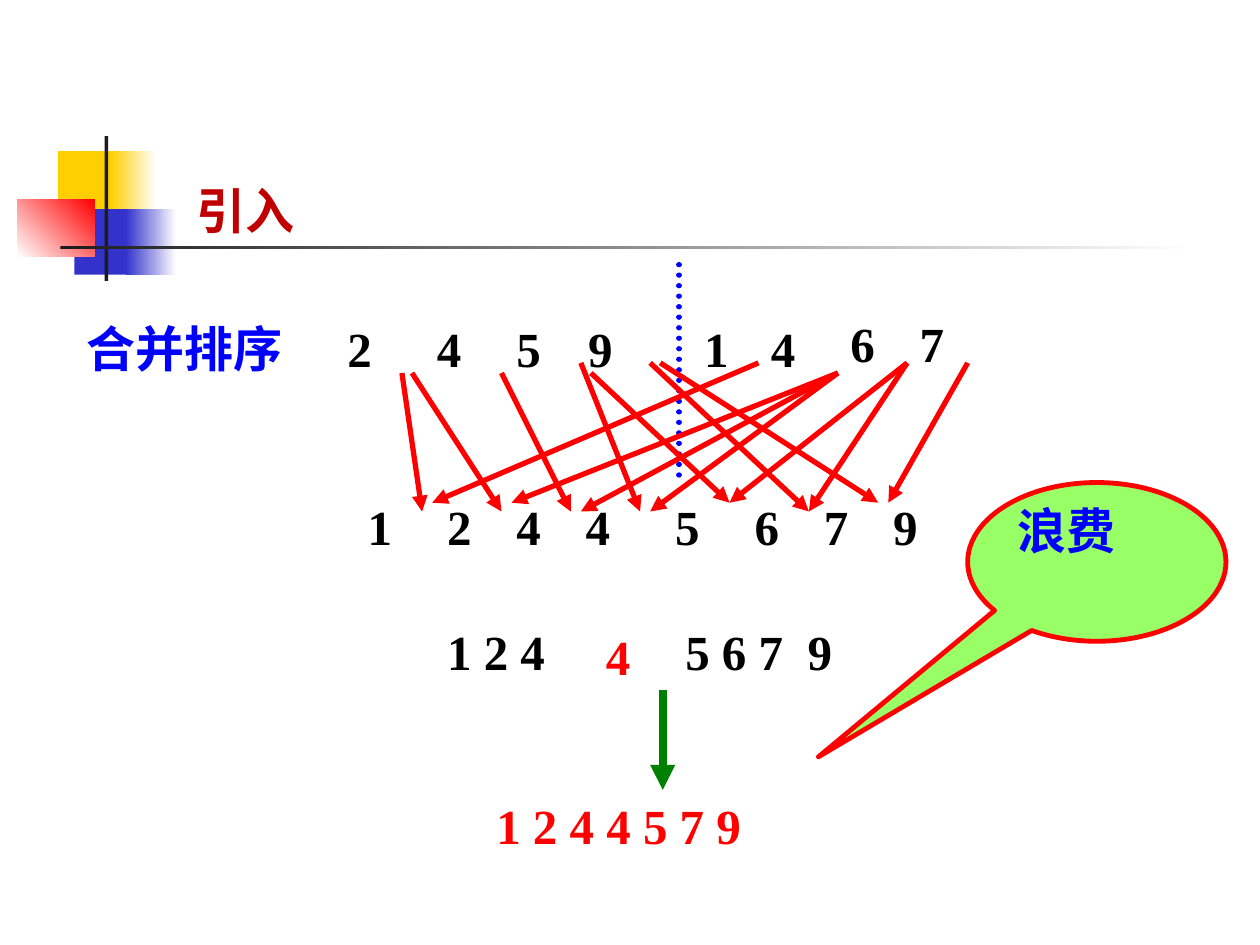
from dataclasses import dataclass

from lxml import etree
from pptx import Presentation
from pptx import util as u
from pptx.dml.color import RGBColor
from pptx.enum import dml, shapes, text
from pptx.oxml import ns

WIDE, HIGH = u.Inches(10), u.Inches(7.5)
FONT = "Times New Roman"
HUES = {
    "black": "000000", "white": "FFFFFF", "ink": "1C1C1C",
    "gold": "FFCF01", "navy": "3333CC", "red": "FF0000",
    "blue": "0000FF", "green": "008000", "wine": "C00000",
    "lime": "99FF66",
}


@dataclass
class Box:
    left: float
    top: float
    width: float
    height: float

    def place(self) -> tuple[int, int, int, int]:
        return (across(self.left), down(self.top),
                across(self.width), down(self.height))


@dataclass
class Block:
    box: Box
    hue: str
    fade: str = ""
    angle: int = 0


@dataclass
class Label:
    words: str
    left: float
    top: float
    width: float = 11.4
    hue: str = "black"


@dataclass
class Link:
    start: tuple[float, float]
    end: tuple[float, float]
    hue: str = "red"
    weight: float = 3
    head: bool = True


def across(share: float) -> int:
    return round(WIDE * share / 100)


def down(share: float) -> int:
    return round(HIGH * share / 100)


def tint(name: str) -> RGBColor:
    return RGBColor.from_string(HUES[name])


def write(frame, words: str, hue: str) -> None:
    frame.word_wrap = True
    frame.vertical_anchor = text.MSO_ANCHOR.TOP
    frame.text = words
    para = frame.paragraphs[0]
    para.alignment = text.PP_ALIGN.LEFT
    para.line_spacing = 0.8
    font = para.runs[0].font
    font.name, font.size, font.bold = FONT, u.Pt(28), True
    font.color.rgb = tint(hue)


def draw_block(slide, block: Block) -> None:
    shape = slide.shapes.add_shape(
        shapes.MSO_SHAPE.RECTANGLE, *block.box.place())
    shape.shadow.inherit = False
    shape.line.fill.background()
    if block.fade:
        shape.fill.gradient()
        shape.fill.gradient_angle = block.angle
        for stop, hue in zip(shape.fill.gradient_stops,
                             (block.hue, block.fade)):
            stop.color.rgb = tint(hue)
        shape.fill.gradient_stops[0].position = 0
        shape.fill.gradient_stops[1].position = 1
    else:
        shape.fill.solid()
        shape.fill.fore_color.rgb = tint(block.hue)


def draw_label(slide, label: Label) -> None:
    box = Box(label.left, label.top, label.width, 6.4)
    shape = slide.shapes.add_textbox(*box.place())
    write(shape.text_frame, label.words, label.hue)


def draw_link(slide, link: Link) -> None:
    (left, top), (right, low) = link.start, link.end
    line = slide.shapes.add_connector(
        shapes.MSO_CONNECTOR.STRAIGHT,
        across(left), down(top), across(right), down(low))
    line.line.color.rgb = tint(link.hue)
    line.line.width = u.Pt(link.weight)
    props = line.line._get_or_add_ln()
    if link.head:
        etree.SubElement(props, ns.qn("a:tailEnd"), type="triangle")
    else:
        line.line.dash_style = dml.MSO_LINE.ROUND_DOT
        props.set("cap", "rnd")
    etree.SubElement(line._element.spPr, ns.qn("a:effectLst"))


def draw_callout(slide, box: Box, words: str) -> None:
    shape = slide.shapes.add_shape(
        shapes.MSO_SHAPE.OVAL_CALLOUT, *box.place())
    shape.shadow.inherit = False
    shape.adjustments[0], shape.adjustments[1] = -1.078, 1.228
    shape.fill.solid()
    shape.fill.fore_color.rgb = tint("lime")
    shape.line.color.rgb = tint("red")
    shape.line.width = u.Pt(2.75)
    write(shape.text_frame, words, "blue")


BLOCKS = [
    Block(Box(4.6, 16, 4.8, 6.93), "gold"),
    Block(Box(8.8, 16, 3.6, 6.93), "gold", "white"),
    Block(Box(5.9, 22.13, 4.6, 6.93), "navy"),
    Block(Box(10, 22.13, 4, 6.93), "navy", "white"),
    Block(Box(1.4, 21.07, 6.1, 6.13), "white", "red", 45),
    Block(Box(8.3, 14.4, 0.3, 15.33), "ink"),
    Block(Box(4.8, 26, 90, 0.4), "ink", "white"),
]

ROWS = [
    ("2459", 34.27, (26.6, 33.7, 40, 45.7)),
    ("14", 34.27, (54.9, 60.2)),
    ("67", 33.73, (66.5, 72)),
    ("12445679", 53.07, (28.2, 34.5, 40, 45.5, 52.6, 58.9, 64.4, 69.9)),
]

LABELS = [
    Label("引入", 14.6, 19.6, 11.4, "wine"),
    Label("合并排序", 5.9, 34.27, 20.7, "blue"),
    Label("1 2 4", 34.5, 66.27, 17.2),
    Label("5 6 7  9", 53.4, 66.27, 21.1),
    Label("4", 47.1, 66.8, 11.4, "red"),
    Label("1 2 4 4 5 7 9", 38.4, 84.67, 28.9, "red"),
]

HIGHER, LOWER = 38.4, 39.47
NEAR, FAR = 53.2, 54.13
MERGES = [
    (31.9, LOWER, 33.5, FAR), (60.2, HIGHER, 34.3, NEAR),
    (32.7, LOWER, 39.8, FAR), (66.5, LOWER, 40.6, NEAR),
    (39.8, LOWER, 45.3, FAR), (66.5, LOWER, 46.1, FAR),
    (46.1, HIGHER, 50.8, FAR), (66.5, LOWER, 51.6, FAR),
    (46.9, LOWER, 57.9, NEAR), (72, HIGHER, 57.9, NEAR),
    (51.6, HIGHER, 64.2, FAR), (72, HIGHER, 64.2, FAR),
    (52.4, HIGHER, 69.7, NEAR), (76.8, HIGHER, 70.5, NEAR),
]

LINKS = [
    Link((52.6, 73.07), (52.6, 83.6), "green", 4.75),
    Link((53.9, 28), (53.9, 51.07), "blue", head=False),
    *(Link((a, b), (c, d)) for a, b, c, d in MERGES),
]


def main() -> None:
    deck = Presentation()
    deck.slide_width, deck.slide_height = WIDE, HIGH
    slide = deck.slides.add_slide(deck.slide_layouts[6])
    for block in BLOCKS:
        draw_block(slide, block)
    for digits, top, lefts in ROWS:
        for digit, left in zip(digits, lefts):
            draw_label(slide, Label(digit, left, top))
    for label in LABELS:
        draw_label(slide, label)
    for link in LINKS:
        draw_link(slide, link)
    draw_callout(slide, Box(76.8, 51.07, 20.5, 16.8), "浪费")
    deck.save("out.pptx")


if __name__ == "__main__":
    main()
